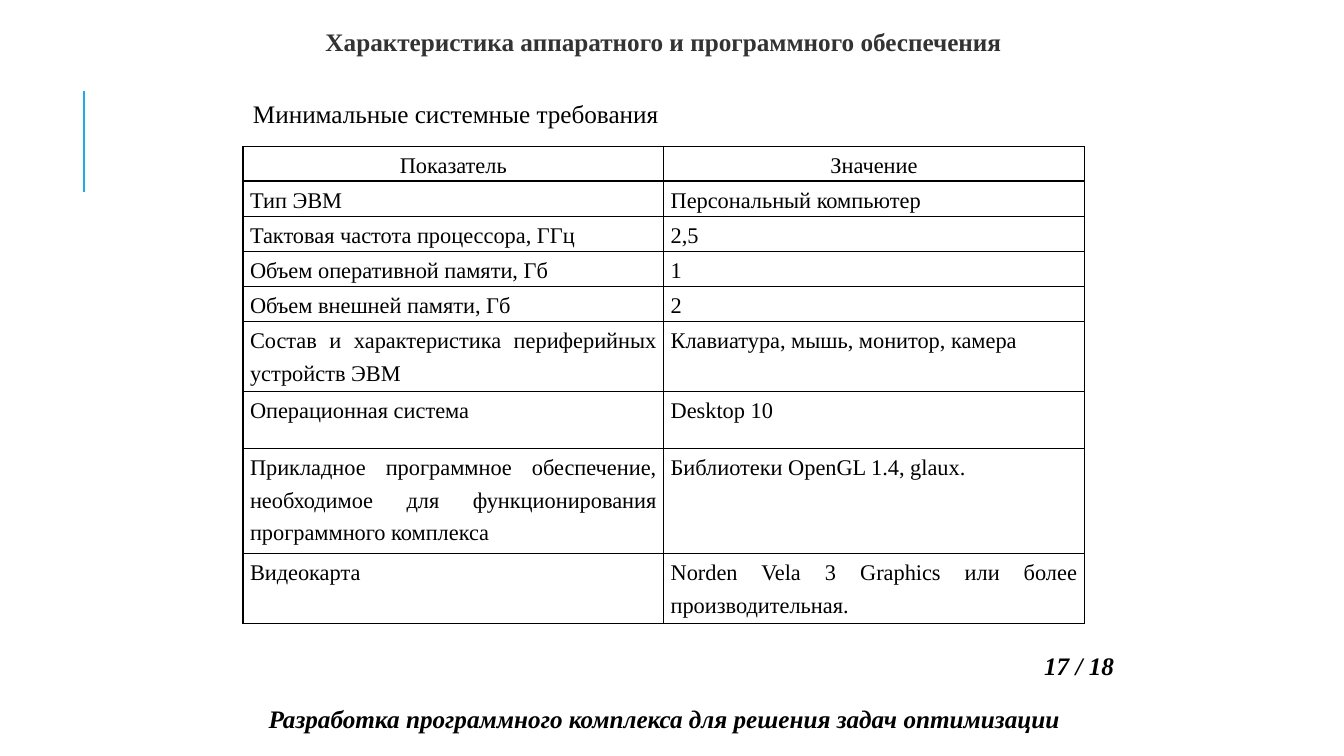
from lxml.etree import SubElement
from pptx import Presentation
from pptx.dml.color import RGBColor
from pptx.enum.shapes import MSO_CONNECTOR
from pptx.enum.text import MSO_ANCHOR, MSO_AUTO_SIZE, PP_ALIGN
from pptx.oxml import parse_xml
from pptx.oxml.ns import nsdecls, qn
from pptx.util import Pt

BLACK = RGBColor(0x00, 0x00, 0x00)
TITLE_GREY = RGBColor(0x33, 0x33, 0x33)
ACCENT_BLUE = RGBColor(0x1C, 0xAD, 0xE4)
FONT = "Times New Roman"

REQUIREMENTS = [
    ("Показатель", "Значение"),
    ("Тип ЭВМ", "Персональный компьютер"),
    ("Тактовая частота процессора, ГГц", "2,5"),
    ("Объем оперативной памяти, Гб", "1"),
    ("Объем внешней памяти, Гб", "2"),
    ("Состав и характеристика периферийных устройств ЭВМ",
     "Клавиатура, мышь, монитор, камера"),
    ("Операционная система", "Desktop 10"),
    ("Прикладное программное обеспечение, необходимое для функционирования "
     "программного комплекса", "Библиотеки OpenGL 1.4, glaux."),
    ("Видеокарта", "Norden Vela 3 Graphics или более производительная."),
]
ROW_HEIGHTS = [25] * 5 + [50, 40.8, 75, 50]
COLUMN_WIDTH = 300.5


def apply(target, values):
    for name, value in values.items():
        setattr(target, name, value)


def write(paragraph, text, color=BLACK, **font_values):
    span = paragraph.add_run()
    span.text = text
    apply(span.font, {"name": FONT, **font_values})
    span.font.color.rgb = color


def add_label(page, text, left, top, width, height, frame_values,
              align=PP_ALIGN.LEFT, **style):
    box = page.shapes.add_textbox(Pt(left), Pt(top), Pt(width), Pt(height))
    apply(box.text_frame, frame_values)
    paragraph = box.text_frame.paragraphs[0]
    paragraph.alignment = align
    write(paragraph, text, size=Pt(18), **style)


def add_accent_line(page):
    line = page.shapes.add_connector(
        MSO_CONNECTOR.STRAIGHT, Pt(60), Pt(137), Pt(60), Pt(65))
    line.line.color.rgb = ACCENT_BLUE
    line.line.width = Pt(1.5)
    SubElement(line._element.spPr, qn("a:effectLst"))


def set_borders(cell, widths):
    properties = cell._tc.get_or_add_tcPr()
    for index, (side, width) in enumerate(widths.items()):
        properties.insert(index, parse_xml(
            f'<a:ln{side} {nsdecls("a")} w="{Pt(width)}"><a:solidFill>'
            f'<a:srgbClr val="{BLACK}"/></a:solidFill></a:ln{side}>'))


def fill_cell(cell, text, row, column):
    cell.fill.background()
    apply(cell, {"margin_left": Pt(5), "margin_right": Pt(5),
                 "margin_top": 0, "margin_bottom": 0,
                 "vertical_anchor": MSO_ANCHOR.TOP})
    # The rule under the header row is thicker
    set_borders(cell, {"L": 1, "R": 1, "T": 1.5 if row == 1 else 1,
                       "B": 1.5 if row == 0 else 1})
    paragraph = cell.text_frame.paragraphs[0]
    apply(paragraph, {
        "alignment": PP_ALIGN.CENTER if row == 0 else PP_ALIGN.JUSTIFY,
        "line_spacing": 1.3,
        "space_after": Pt(8 if column == 1 else 0)})
    write(paragraph, text, size=Pt(16))


def add_requirements_table(page):
    table = page.shapes.add_table(
        len(REQUIREMENTS), 2, Pt(173.6), Pt(104.6),
        Pt(2 * COLUMN_WIDTH), Pt(sum(ROW_HEIGHTS))).table
    apply(table, {"first_row": False, "horz_banding": False})
    for column in table.columns:
        column.width = Pt(COLUMN_WIDTH)
    for row, (height, texts) in enumerate(zip(ROW_HEIGHTS, REQUIREMENTS)):
        table.rows[row].height = Pt(height)
        for column, text in enumerate(texts):
            fill_cell(table.cell(row, column), text, row, column)


def main():
    deck = Presentation()
    apply(deck, {"slide_width": Pt(960), "slide_height": Pt(540)})
    page = deck.slides.add_slide(deck.slide_layouts[6])
    heading_frame = {"word_wrap": False,
                     "auto_size": MSO_AUTO_SIZE.SHAPE_TO_FIT_TEXT}
    footer_frame = {"word_wrap": True, "vertical_anchor": MSO_ANCHOR.MIDDLE}
    footer_style = {"align": PP_ALIGN.CENTER, "bold": True, "italic": True}

    add_accent_line(page)

    # Footer and page number
    add_label(page, "Разработка программного комплекса для решения задач оптимизации",
              162.7, 497, 623.5, 31.7, footer_frame, **footer_style)
    add_label(page, "17 / 18", 701.3, 457.2, 139, 36.7, footer_frame, **footer_style)

    # Headings
    add_label(page, "Характеристика аппаратного и программного обеспечения",
              225.4, 15.1, 497.5, 29, heading_frame, color=TITLE_GREY, bold=True)
    add_label(page, "Минимальные системные требования",
              173.6, 66.5, 307.4, 29, heading_frame)

    add_requirements_table(page)
    deck.save("out.pptx")


if __name__ == "__main__":
    main()
